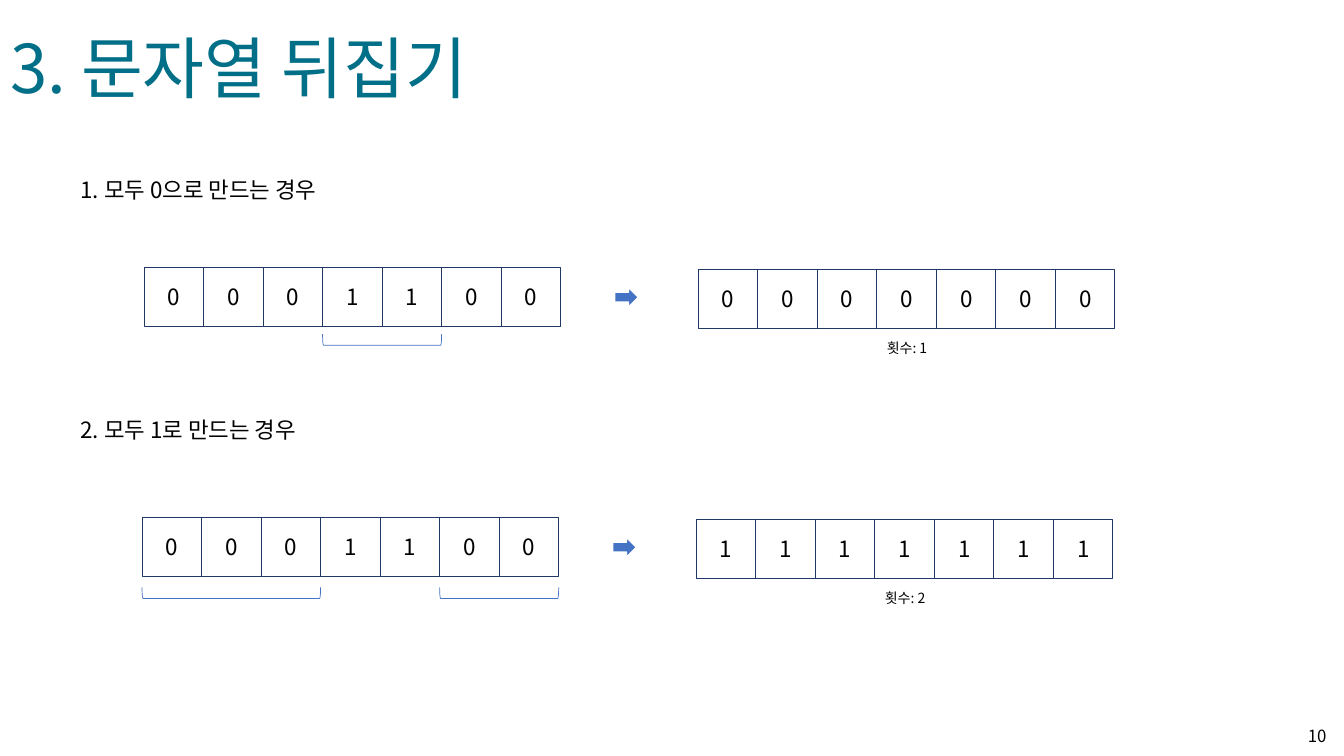
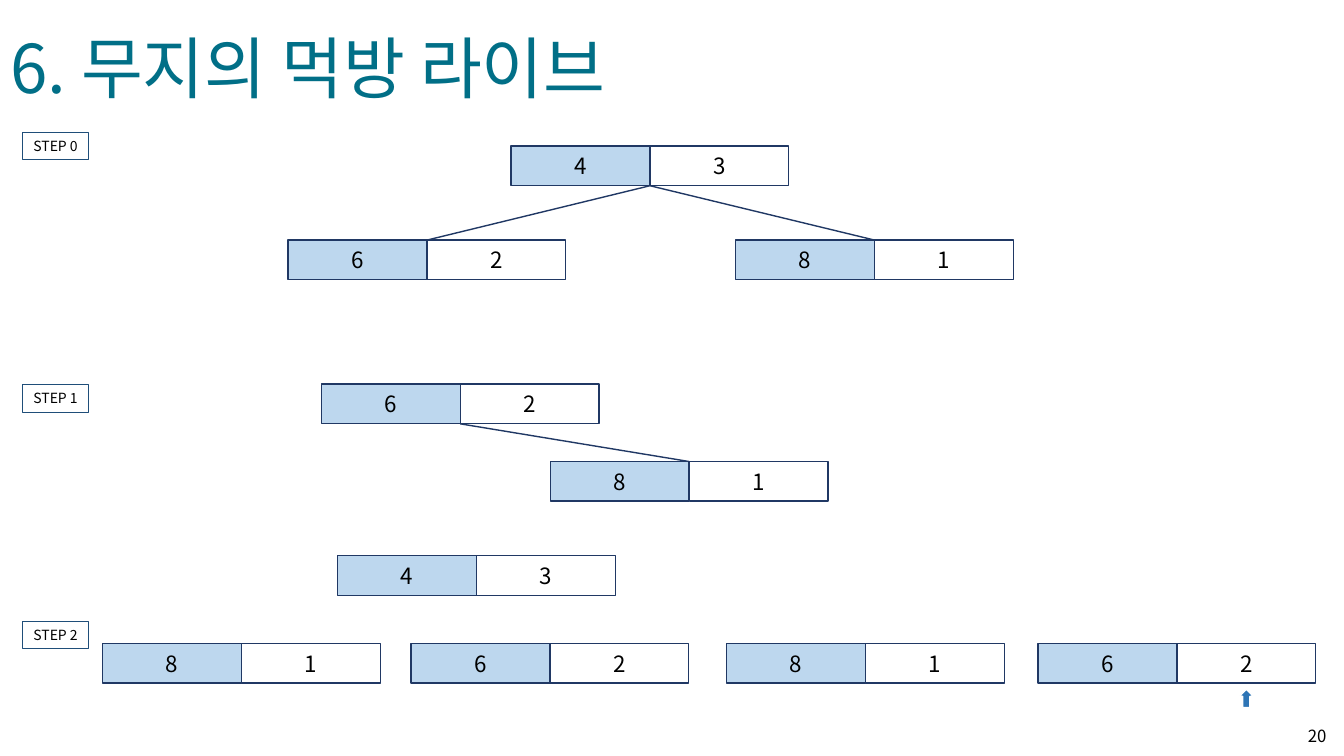
from itertools import groupby

from lxml.etree import SubElement
from pptx import Presentation
from pptx.dml.color import RGBColor
from pptx.enum.shapes import MSO_CONNECTOR, MSO_SHAPE as Shape
from pptx.enum.text import MSO_ANCHOR as Anchor, PP_ALIGN as Align
from pptx.oxml.ns import qn
from pptx.util import Cm, Pt

FONT = "Noto Sans CJK KR"
TEAL, NAVY, BLUE, STEP_BLUE, UP_BLUE = "016F87", "203864", "4472C4", "1F4E79", "2E75B6"
PALE, WHITE, BLACK = "BDD7EE", "FFFFFF", "000000"

# Content, lengths in cm
FLIP_START = "0001100"
FLIP_CASES = [
    dict(heading="1. 모두 0으로 만드는 경우", heading_top=4.32, left=3.63, top=6.73,
         target="0", bracket_top=1.69, count="횟수: 1"),
    dict(heading="2. 모두 1로 만드는 경우", heading_top=10.36, left=3.58, top=13.03,
         target="1", bracket_top=1.77, count="횟수: 2"),
]
STEPS = [("STEP 0", 3.33), ("STEP 1", 9.7), ("STEP 2", 15.65)]
FOODS = {  # name: (values, left, top)
    "root": ("43", 12.88, 3.68),
    "left child": ("62", 7.26, 6.05),
    "right child": ("81", 18.54, 6.05),
    "new root": ("62", 8.1, 9.68),
    "only child": ("81", 13.87, 11.63),
    "removed": ("43", 8.51, 14.0),
    "turn 1": ("81", 2.59, 16.21),
    "turn 2": ("62", 10.36, 16.21),
    "turn 3": ("81", 18.31, 16.21),
    "turn 4": ("62", 26.16, 16.21),
}
BRANCHES = [("root", "left child"), ("root", "right child"), ("new root", "only child")]
ANSWER = "turn 4"

BIT = 1.5
FOOD_WIDTH, FOOD_HEIGHT = 3.5, 1.0


def rgb(value):
    return RGBColor.from_string(value)


def write(shape, text, size, color=BLACK, align=Align.LEFT, anchor=Anchor.TOP, wrap=True):
    frame = shape.text_frame
    frame.word_wrap, frame.vertical_anchor = wrap, anchor
    frame.text = text
    line = frame.paragraphs[0]
    line.alignment = align
    line.font.size, line.font.name = Pt(size), FONT
    line.font.color.rgb = rgb(color)
    # Korean glyphs use the East Asian typeface
    defaults = line._p.pPr.find(qn("a:defRPr"))
    SubElement(defaults, qn("a:ea")).set("typeface", FONT)


def add_text(slide, text, left, top, width, height, size, **style):
    box = slide.shapes.add_textbox(Cm(left), Cm(top), Cm(width), Cm(height))
    write(box, text, size, **style)


def add_box(slide, kind, left, top, width, height, fill, line, weight):
    box = slide.shapes.add_shape(kind, Cm(left), Cm(top), Cm(width), Cm(height))
    box.shadow.inherit = False
    if fill:
        box.fill.solid()
        box.fill.fore_color.rgb = rgb(fill)
    else:
        box.fill.background()
    box.line.color.rgb, box.line.width = rgb(line), Pt(weight)
    return box


def add_cells(slide, values, left, top, width, height, fills, weight):
    for i, (value, fill) in enumerate(zip(values, fills)):
        cell = add_box(slide, Shape.RECTANGLE, left + i * width, top, width, height,
                       fill, NAVY, weight)
        write(cell, value, 16, align=Align.CENTER, anchor=Anchor.MIDDLE)


def add_bracket(slide, left, top, width):
    """Bracket opening upwards: a left bracket turned by 270 degrees."""
    depth = 0.28
    bracket = add_box(slide, Shape.LEFT_BRACKET, left + (width - depth) / 2,
                      top + (depth - width) / 2, depth, width, None, BLUE, 0.5)
    bracket.rotation = 270


def add_branch(slide, parent, child):
    _, x1, y1 = FOODS[parent]
    _, x2, y2 = FOODS[child]
    branch = slide.shapes.add_connector(
        MSO_CONNECTOR.STRAIGHT, Cm(x1 + FOOD_WIDTH), Cm(y1 + FOOD_HEIGHT),
        Cm(x2 + FOOD_WIDTH), Cm(y2))
    branch.line.color.rgb, branch.line.width = rgb(NAVY), Pt(1)
    SubElement(branch._element.spPr, qn("a:effectLst"))


def new_slide(deck, title, number):
    slide = deck.slides.add_slide(deck.slide_layouts[5])
    heading = slide.shapes.title
    heading.left, heading.top, heading.width, heading.height = Cm(0), Cm(0.53), Cm(32), Cm(2.31)
    write(heading, title, 48, color=TEAL)
    add_text(slide, number, 32.23, 18.03, 1.45, 1.02, 12,
             align=Align.RIGHT, anchor=Anchor.MIDDLE)
    return slide


def build_flip_slide(deck):
    slide = new_slide(deck, "3. 문자열 뒤집기", "10")
    size = len(FLIP_START)
    for case in FLIP_CASES:
        left, top, target = case["left"], case["top"], case["target"]
        add_text(slide, case["heading"], 1.78, case["heading_top"], 7.16, 0.94, 16)
        # Start and result strings
        for values, dx, dy in [(FLIP_START, 0, 0), (target * size, 13.97, 0.05)]:
            add_cells(slide, values, left + dx, top + dy, BIT, BIT, [WHITE] * size, 0.7)
        # One bracket under each run that has to be flipped
        start = 0
        for digit, run in groupby(FLIP_START):
            length = len(list(run))
            if digit != target:
                add_bracket(slide, left + start * BIT, top + case["bracket_top"], length * BIT)
            start += length
        add_box(slide, Shape.RIGHT_ARROW, left + 11.86, top + 0.51, 0.6, 0.5, BLUE, WHITE, 1)
        add_text(slide, case["count"], left + 18.47, top + 1.7, 1.78, 0.69, 10)


def build_food_slide(deck):
    slide = new_slide(deck, "6. 무지의 먹방 라이브", "20")
    for step, top in STEPS:
        label = add_box(slide, Shape.RECTANGLE, 0.56, top, 1.68, 0.69, None, STEP_BLUE, 0.75)
        write(label, step, 10, align=Align.CENTER, wrap=False)
    for values, left, top in FOODS.values():
        add_cells(slide, values, left, top, FOOD_WIDTH, FOOD_HEIGHT, [PALE, WHITE], 1)
    for parent, child in BRANCHES:
        add_branch(slide, parent, child)
    # Arrow under the answer
    _, left, top = FOODS[ANSWER]
    add_box(slide, Shape.UP_ARROW, left + 1.5 * FOOD_WIDTH - 0.18, top + FOOD_HEIGHT + 0.16,
            0.36, 0.46, UP_BLUE, WHITE, 1)


def main():
    deck = Presentation()
    deck.slide_width, deck.slide_height = Cm(33.87), Cm(19.05)
    build_flip_slide(deck)
    build_food_slide(deck)
    deck.save("out.pptx")


if __name__ == "__main__":
    main()
